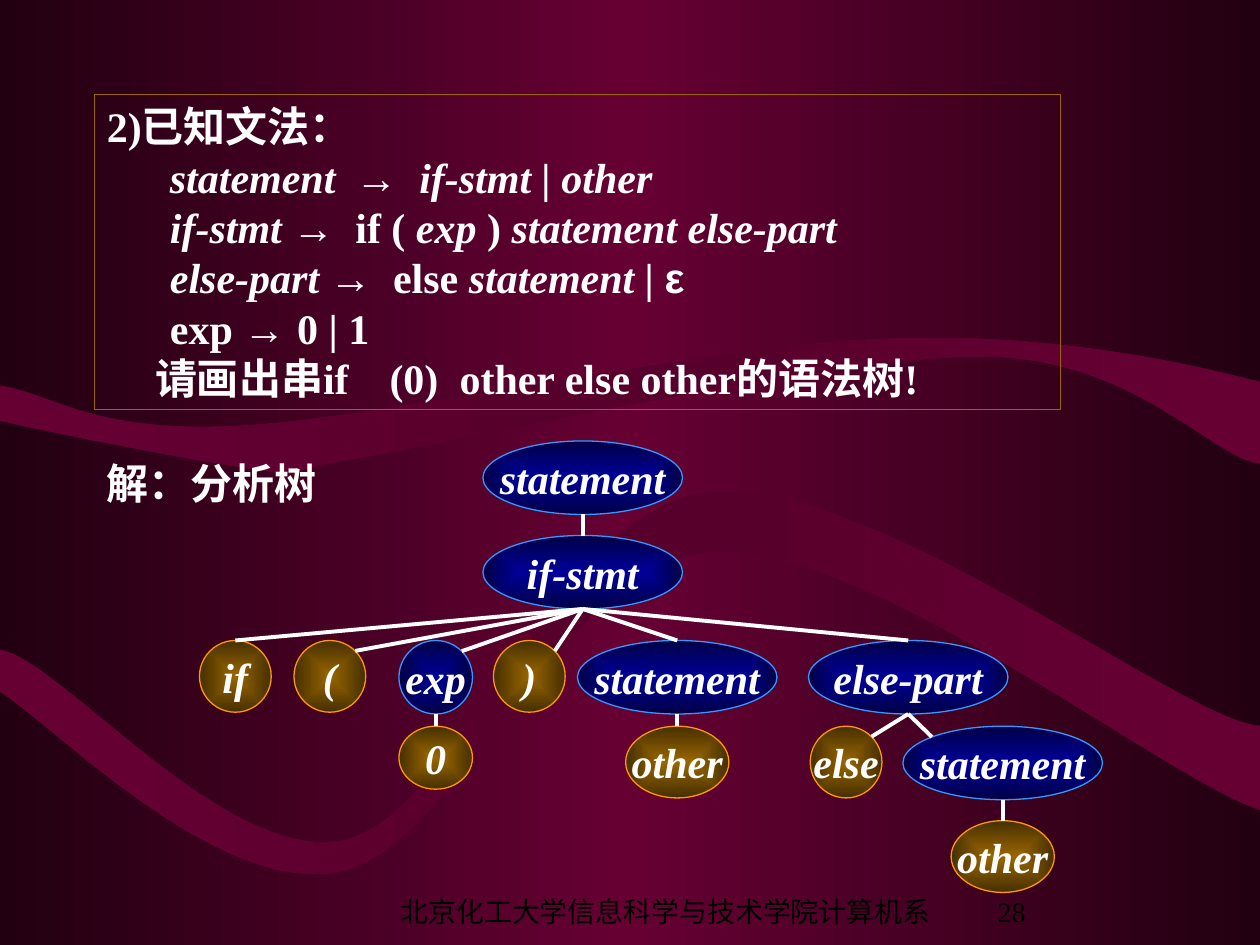
from lxml.etree import SubElement
from pptx import Presentation
from pptx.dml.color import RGBColor
from pptx.enum.shapes import MSO_CONNECTOR as Connector, MSO_SHAPE as Shape
from pptx.enum.text import MSO_ANCHOR as Anchor, PP_ALIGN as Align
from pptx.oxml.ns import qn
from pptx.util import Pt

WHITE, BLACK = RGBColor(255, 255, 255), RGBColor(0, 0, 0)
NIGHT, WINE, PLUM = (RGBColor(0x22, 0, 0x11), RGBColor(0x66, 0, 0x33),
                     RGBColor(0x56, 0, 0x2B))
BLUE, NAVY, SKY = (RGBColor(0, 0, 0x99), RGBColor(0, 0, 0x46),
                   RGBColor(0x33, 0x99, 0xFF))
BROWN, UMBER, ORANGE = (RGBColor(0x99, 0x66, 0), RGBColor(0x46, 0x2F, 0),
                        RGBColor(0xFF, 0x99, 0))
SERIF, SANS = "Times New Roman", "Arial"

# Runs are (text, style): "i" italic, "s" sans. Each line lists its tab stops.
GRAMMAR = [
    ([], [("2)已知文法：", "")]),
    ([36, 142, 178.5], [("\tstatement\t", "i"), ("→", "is"),
                        ("\tif-stmt | other", "i")]),
    ([36, 142], [("\tif-stmt ", "i"), ("→", "is"), ("\tif ( ", ""),
                 ("exp ", "i"), (") ", ""), ("statement else-part", "i")]),
    ([36, 163.5], [("\telse-part ", "i"), ("→", "is"), ("\telse ", ""),
                   ("statement | ", "i"), ("ε", "s")]),
    ([36], [("\texp ", ""), ("→ ", "is"), ("0 | 1", "")]),
    ([27.5, 161.5, 201.5], [("\t请画出串if\t(0)\tother else other的语法树!", "")]),
]
ANSWER = [([], [("解：分析树", "")])]
FOOTER = [([], [("北京化工大学信息科学与技术学院计算机系", "")])]
PAGE_NUMBER = [([], [("28", "")])]

# Node styles: inner colour, outer colour, outline
RULE, TOKEN = (BLUE, NAVY, SKY), (BROWN, UMBER, ORANGE)
WIDE, ROUND, OVAL = (114, 42), (41, 41), (59, 41)
LEVELS = [252, 306, 366, 415, 469]
# key: label, style, size, centre x, level, parent, side where the branch lands
TREE = {
    "root": ("statement", RULE, WIDE, 333, 0, None, None),
    "if-stmt": ("if-stmt", RULE, WIDE, 333, 1, "root", "top"),
    "if": ("if", TOKEN, ROUND, 134.5, 2, "if-stmt", "top"),
    "open": ("(", TOKEN, ROUND, 188.5, 2, "if-stmt", "right"),
    "exp": ("exp", RULE, (42, 42), 249, 2, "if-stmt", "right"),
    "close": (")", TOKEN, ROUND, 302.5, 2, "if-stmt", "right"),
    "then": ("statement", RULE, WIDE, 387, 2, "if-stmt", "top"),
    "else-part": ("else-part", RULE, WIDE, 519, 2, "if-stmt", "top"),
    "zero": ("0", TOKEN, (42, 36), 249, 3, "exp", "top"),
    "then other": ("other", TOKEN, OVAL, 387, 3, "then", "top"),
    "else": ("else", TOKEN, ROUND, 483.5, 3, "else-part", "right"),
    "otherwise": ("statement", RULE, WIDE, 573, 3, "else-part", "left"),
    "else other": ("other", TOKEN, OVAL, 573, 4, "otherwise", "top"),
}
DIAGONAL = 0.71  # cosine of 45 degrees

# A pair is a straight step, six numbers are a Bezier step
WAVES = [
    [(0, 220.3), (0, 240.5), (26.6, 247, 126, 266.4, 159.8, 270),
     (193.7, 273.6, 136.8, 272.9, 203, 262.1),
     (270, 250.6, 475.2, 203, 561.6, 203.8),
     (648, 203.8, 693.4, 262.8, 720, 265), (720, 218.2),
     (684, 208.8, 601.9, 189.4, 504.7, 193.7),
     (407.5, 197.3, 221, 239, 136.8, 243.4),
     (52.6, 247.7, 31.7, 225.4, 0, 220.3)],
    [(0, 371.5), (0, 395.3), (32.4, 416.2, 125.3, 511.9, 193.7, 498.2),
     (261.4, 485.3, 319, 321.1, 406.8, 315.4),
     (494.6, 308.9, 667.4, 446.4, 720, 463), (720, 414.7),
     (675.4, 411.8, 497.5, 271.4, 404.6, 281.5),
     (317.5, 290.2, 264.2, 465.1, 196.6, 480.2),
     (128.9, 494.6, 32.4, 374.4, 0, 371.5)],
]


def apply_gradient(fill, holder, colours, from_centre=False):
    """Put evenly spaced colours in place of the fill of the holder element."""
    fill.solid()
    solid = holder.find(qn("a:solidFill"))
    gradient = SubElement(holder, qn("a:gradFill"), rotWithShape="1")
    holder.replace(solid, gradient)
    stops = SubElement(gradient, qn("a:gsLst"))
    for index, colour in enumerate(colours):
        position = 100000 * index // (len(colours) - 1)
        stop = SubElement(stops, qn("a:gs"), pos=str(position))
        SubElement(stop, qn("a:srgbClr"), val=str(colour))
    if from_centre:
        shade = SubElement(gradient, qn("a:path"), path="rect")
        SubElement(shade, qn("a:fillToRect"),
                   {side: "50000" for side in "ltrb"})
    else:
        SubElement(gradient, qn("a:lin"), ang="10800000", scaled="1")


def write(shape, lines, size=24, colour=WHITE, bold=True, align=Align.LEFT,
          anchor=Anchor.TOP, wrap=True):
    frame = shape.text_frame
    frame.word_wrap, frame.vertical_anchor = wrap, anchor
    for index, (stops, runs) in enumerate(lines):
        para = frame.add_paragraph() if index else frame.paragraphs[0]
        para.alignment = align
        if stops:
            tabs = SubElement(para._p.get_or_add_pPr(), qn("a:tabLst"))
            for stop in stops:
                SubElement(tabs, qn("a:tab"), pos=str(Pt(stop)), algn="l")
        for text, style in runs:
            span = para.add_run()
            span.text = text
            font = span.font
            font.size, font.bold, font.italic = Pt(size), bold, "i" in style
            font.name = SANS if "s" in style else SERIF
            font.color.rgb = colour


def add_box(page, left, top, width, height, lines, **style):
    box = page.shapes.add_textbox(Pt(left), Pt(top), Pt(width), Pt(height))
    write(box, lines, **style)
    return box


def add_wave(page, steps):
    """Draw all points as straight steps, then gather Bezier steps by three."""
    points = [(Pt(x), Pt(y)) for step in steps
              for x, y in zip(step[::2], step[1::2])]
    builder = page.shapes.build_freeform(*points[0])
    builder.add_line_segments(points[1:], close=True)
    wave = builder.convert_to_shape()
    lines = wave.element.findall(".//" + qn("a:lnTo"))
    for step in steps[1:]:
        group, lines = lines[:len(step) // 2], lines[len(step) // 2:]
        if len(group) == 3:
            outline = group[0].getparent()
            curve = SubElement(outline, qn("a:cubicBezTo"))
            outline.replace(group[0], curve)
            for line in group:
                curve.append(line[0])
            for line in group[1:]:
                outline.remove(line)
    wave.shadow.inherit = False
    wave.line.fill.background()
    apply_gradient(wave.fill, wave.element.spPr, [WINE, PLUM, WINE])


def add_node(page, label, style, size, centre, level):
    width, height = size
    inner, outer, outline = style
    node = page.shapes.add_shape(Shape.OVAL, Pt(centre - width / 2),
                                 Pt(LEVELS[level]), Pt(width), Pt(height))
    node.shadow.inherit = False
    apply_gradient(node.fill, node.element.spPr, [inner, outer], True)
    node.line.color.rgb, node.line.width = outline, Pt(0.75)
    write(node, [([], [(label, "i")])], align=Align.CENTER,
          anchor=Anchor.MIDDLE, wrap=False)


def add_branch(page, parent, child, side):
    """Join the bottom of the parent to the top or upper corner of the child."""
    _, _, (_, parent_height), parent_x, parent_level, _, _ = parent
    _, _, (width, height), x, level, _, _ = child
    y = LEVELS[level]
    if side != "top":
        x += width / 2 * DIAGONAL * (1 if side == "right" else -1)
        y += height / 2 * (1 - DIAGONAL)
    branch = page.shapes.add_connector(
        Connector.STRAIGHT, Pt(parent_x), Pt(LEVELS[parent_level] + parent_height),
        Pt(x), Pt(y))
    branch.line.color.rgb, branch.line.width = WHITE, Pt(2.25)
    SubElement(branch.element.spPr, qn("a:effectLst"))


def main():
    deck = Presentation()
    deck.slide_width, deck.slide_height = Pt(720), Pt(540)
    page = deck.slides.add_slide(deck.slide_layouts[6])
    fill = page.background.fill
    fill.solid()
    apply_gradient(fill, page.element.find(".//" + qn("p:bgPr")),
                   [NIGHT, WINE, NIGHT])
    for steps in WAVES:
        add_wave(page, steps)

    add_box(page, 54, 258, 186, 36, ANSWER)
    grammar = add_box(page, 54, 54, 552, 180, GRAMMAR, align=Align.JUSTIFY)
    grammar.line.color.rgb, grammar.line.width = BROWN, Pt(0.75)

    for label, style, size, centre, level, _, _ in TREE.values():
        add_node(page, label, style, size, centre, level)
    for child in TREE.values():
        parent, side = child[-2:]
        if parent:
            add_branch(page, TREE[parent], child, side)

    small = dict(size=16, colour=BLACK, bold=False, anchor=Anchor.BOTTOM)
    footer = add_box(page, 204, 510, 336, 24, FOOTER, align=Align.CENTER, **small)
    footer.text_frame.margin_left = Pt(24)
    add_box(page, 563, 510, 40, 24, PAGE_NUMBER, **small)
    deck.save("out.pptx")


if __name__ == "__main__":
    main()
